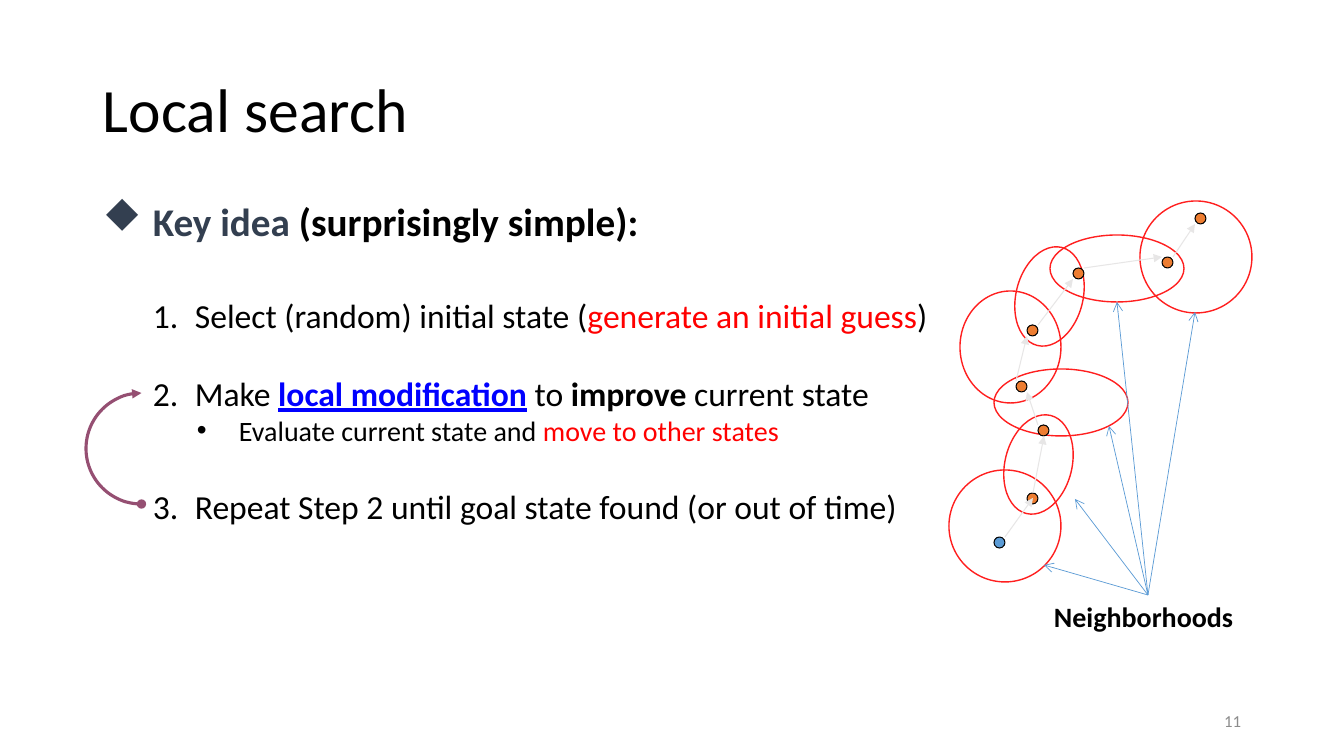
"""Build the slide on the local search idea with its neighborhood diagram."""
from lxml import etree
from pptx import Presentation, util as u
from pptx.dml.color import RGBColor
from pptx.enum import shapes, text
from pptx.oxml import ns

PX = 914400 / 100.8
BLACK, RED, SLATE, BLUE = "000000", "FF0000", "333F50", "5B9BD5"


def color(value):
    return RGBColor.from_string(value)


def px(*lengths):
    return [u.Emu(round(length * PX)) for length in lengths]


deck = Presentation()
deck.slide_width, deck.slide_height = px(1344, 756)
page = deck.slides.add_slide(deck.slide_layouts[6])

diamond = [("buFont", {"typeface": "Wingdings", "pitchFamily": "2", "charset": "2"}),
           ("buChar", {"char": "u"})]
dot = [("buFont", {"typeface": "Arial"}), ("buChar", {"char": "•"})]
numeral = [("buAutoNum", {"type": "arabicPeriod"})]

title = [dict(line=0.9, spans=[("Local search", 44, BLACK, {})])]
idea = [
    dict(line=0.8, indent=(50, -50), bullet=diamond, spans=[
        ("Key idea ", 28, SLATE, {"bold": True}),
        ("(surprisingly simple):", 28, BLACK, {"bold": True})]),
    dict(line=0.8, level=1, before=42, spans=[
        ("Select (random) initial state (", 24, BLACK, {}),
        ("generate an initial guess", 24, RED, {}),
        (")", 24, BLACK, {})]),
    dict(line=0.8, level=1, before=33, spans=[
        ("Make ", 24, BLACK, {}),
        ("local modification", 24, "0000FF", {"bold": True, "underline": True}),
        (" to ", 24, BLACK, {}),
        ("improve", 24, BLACK, {"bold": True}),
        (" current state", 24, BLACK, {})]),
    dict(line=0.8, level=2, before=5, indent=(136, -42), bullet=dot, spans=[
        ("Evaluate current state and ", 20, BLACK, {}),
        ("move to other states", 20, RED, {})]),
    dict(line=0.8, level=1, before=33, spans=[
        ("Repeat Step 2 until goal state found (or out of time)", 24, BLACK, {})]),
]
number = [dict(align="RIGHT", spans=[("11", 12, "8C8C8C", {})])]
caption = [dict(spans=[("Neighborhoods", 20, BLACK, {"bold": True})])]

for place, anchor, wrap, paragraphs in [
    ((93, 40, 1159, 146), "MIDDLE", True, title),
    ((93, 201, 1159, 480), "TOP", True, idea),
    ((949, 701, 302, 40), "MIDDLE", True, number),
    ((1044, 595, 208, 44), "TOP", False, caption),
]:
    box = page.shapes.add_textbox(*px(*place))
    frame = box.text_frame
    frame.word_wrap = wrap
    frame.vertical_anchor = text.MSO_ANCHOR[anchor]
    for index, item in enumerate(paragraphs):
        para = frame.add_paragraph() if index else frame.paragraphs[0]
        para.level = item.get("level", 0)
        para.alignment = text.PP_ALIGN[item.get("align", "LEFT")]
        para.line_spacing = item.get("line", 1.0)
        para.space_before = u.Pt(item.get("before", 0))
        if paragraphs is idea:
            margin, hanging = px(*item.get("indent", (92, -42)))
            props = para._p.get_or_add_pPr()
            props.set("marL", str(margin))
            props.set("indent", str(hanging))
            for tag, values in item.get("bullet", numeral):
                etree.SubElement(props, ns.qn("a:" + tag), values)
        for words, size, shade, style in item["spans"]:
            span = para.add_run()
            span.text = words
            span.font.color.rgb = color(shade)
            for name, value in {"name": "Calibri", "size": u.Pt(size), **style}.items():
                setattr(span.font, name, value)
label = box

hoods = [
    (949, 470, 112, 112, 0), (1005, 414, 67, 101, 14), (994, 369, 134, 67, 0),
    (960, 291, 101, 112, 0), (1016, 246, 67, 101, 14), (1050, 235, 134, 67, 0),
    (1140, 201, 112, 112, 0),
]
states = [(994, 537), (1027, 493), (1038, 425), (1016, 381),
          (1027, 325), (1073, 268), (1162, 257), (1195, 213)]
ovals = [(*hood, None, "FF1F1F", 1) for hood in hoods]
ovals += [(x, y, 11, 11, 0, "ED7D31" if index else BLUE, BLACK, 0.75)
          for index, (x, y) in enumerate(states)]
for x, y, width, height, turn, fill, stroke, weight in ovals:
    oval = page.shapes.add_shape(shapes.MSO_SHAPE.OVAL, *px(x, y, width, height))
    oval.rotation = turn
    oval.shadow.inherit = False
    if fill:
        oval.fill.solid()
        oval.fill.fore_color.rgb = color(fill)
    else:
        oval.fill.background()
    oval.line.color.rgb = color(stroke)
    oval.line.width = u.Pt(weight)

moves = [
    (1005, 537, 1033, 498), (1033, 493, 1044, 436), (1038, 425, 1027, 392),
    (1016, 381, 1027, 336), (1038, 325, 1073, 279), (1084, 268, 1162, 257),
    (1173, 257, 1195, 224),
]
targets = [(1044, 565), (1075, 499), (1109, 426), (1195, 312), (1117, 302)]
arrows = [(move, "E7E6E6", 0.75, "triangle") for move in moves]
arrows += [((1148, 595, *target), BLUE, 0.5, "arrow") for target in targets]
for ends, stroke, weight, tip in arrows:
    arrow = page.shapes.add_connector(shapes.MSO_CONNECTOR.STRAIGHT, *px(*ends))
    if tip == "arrow":
        arrow.begin_connect(label, 0)
    arrow.line.color.rgb = color(stroke)
    arrow.line.width = u.Pt(weight)
    etree.SubElement(arrow.line._get_or_add_ln(), ns.qn("a:tailEnd"), type=tip)
    etree.SubElement(arrow._element.spPr, ns.qn("a:effectLst"))

loop = page.shapes.add_shape(shapes.MSO_SHAPE.ARC, *px(86, 393, 111, 111))
for index, degrees in enumerate((90, 270)):
    loop.adjustments[index] = degrees * 0.6
loop.shadow.inherit = False
loop.fill.background()
loop.line.color.rgb = color("954F72")
loop.line.width = u.Pt(2.25)
for end, tip in [("a:headEnd", "oval"), ("a:tailEnd", "triangle")]:
    etree.SubElement(loop.line._get_or_add_ln(), ns.qn(end), type=tip)

deck.save("out.pptx")
